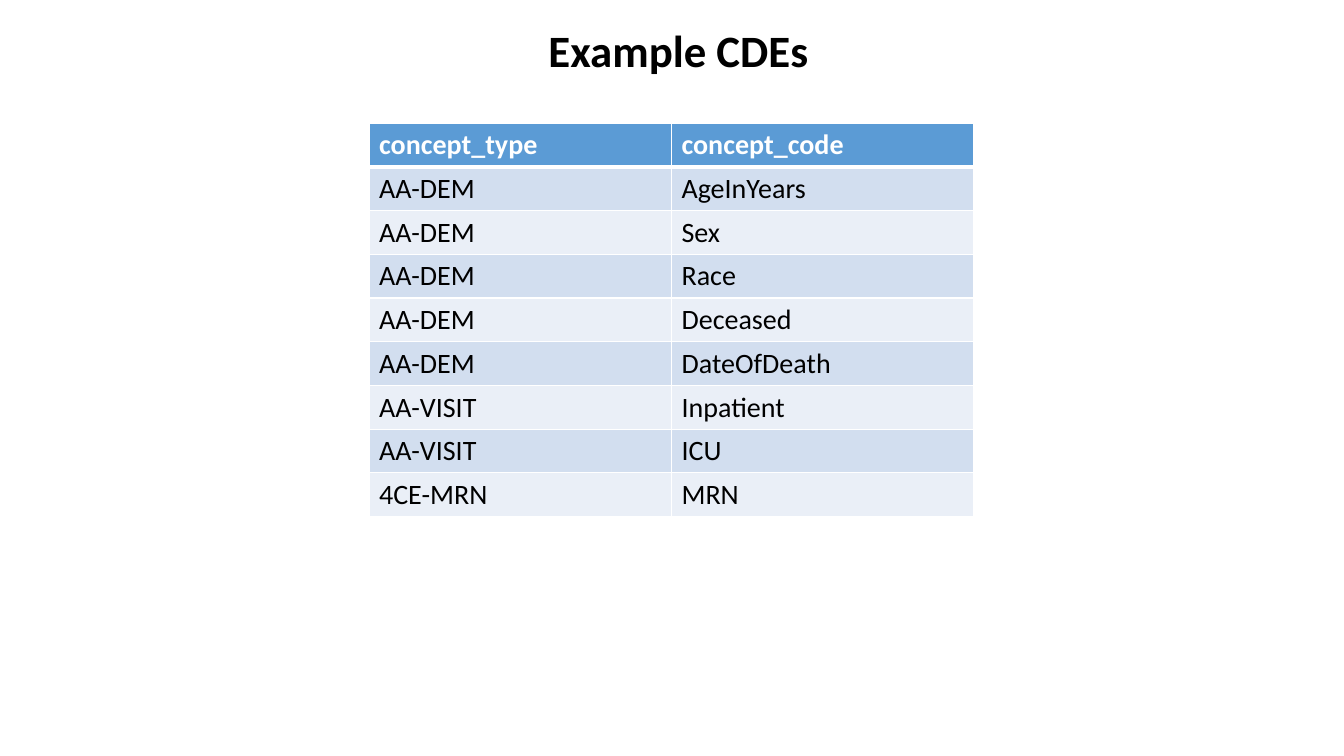
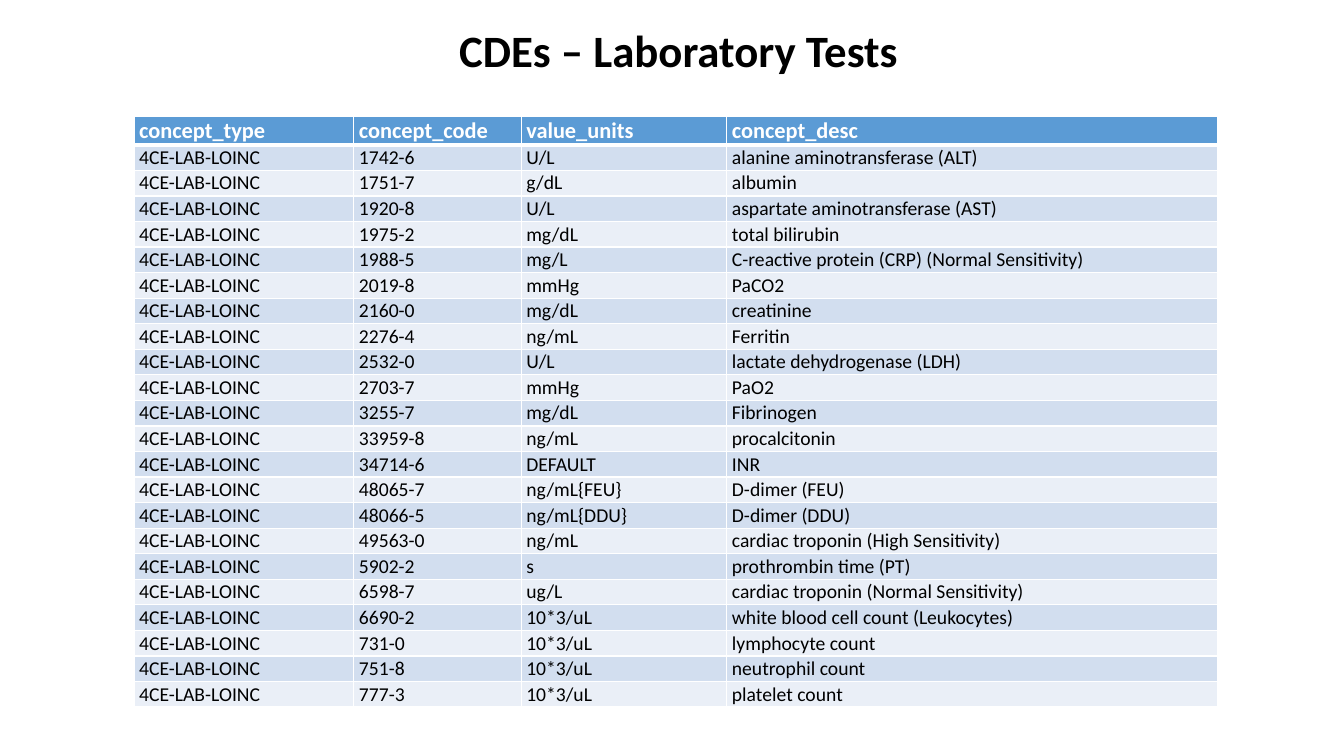
from lxml import etree
from pptx import Presentation
from pptx.dml.color import RGBColor
from pptx.enum.text import MSO_ANCHOR, MSO_AUTO_SIZE, PP_ALIGN
from pptx.oxml.ns import qn
from pptx.util import Inches, Pt

CENTER = PP_ALIGN.CENTER
BOTTOM = MSO_ANCHOR.BOTTOM
GROW = MSO_AUTO_SIZE.SHAPE_TO_FIT_TEXT
FONT = "Calibri"
BLACK, WHITE = "000000", "FFFFFF"
HEADER_FILL = "5B9BD5"
BAND_FILLS = ("D2DEEF", "EAEFF7")
THIN, THICK = 1, 3
TITLE_CENTER, TITLE_TOP, TITLE_HEIGHT = 6.73, 0.18, 0.64

EXAMPLE_ROWS = [
    ("concept_type", "concept_code"),
    ("AA-DEM", "AgeInYears"),
    ("AA-DEM", "Sex"),
    ("AA-DEM", "Race"),
    ("AA-DEM", "Deceased"),
    ("AA-DEM", "DateOfDeath"),
    ("AA-VISIT", "Inpatient"),
    ("AA-VISIT", "ICU"),
    ("4CE-MRN", "MRN"),
]
LAB_HEADER = ("concept_type", "concept_code", "value_units", "concept_desc")
LAB_TYPE = "4CE-LAB-LOINC"
LAB_TESTS = [
    ("1742-6", "U/L", "alanine aminotransferase (ALT)"),
    ("1751-7", "g/dL", "albumin"),
    ("1920-8", "U/L", "aspartate aminotransferase (AST)"),
    ("1975-2", "mg/dL", "total bilirubin"),
    ("1988-5", "mg/L", "C-reactive protein (CRP) (Normal Sensitivity)"),
    ("2019-8", "mmHg", "PaCO2"),
    ("2160-0", "mg/dL", "creatinine"),
    ("2276-4", "ng/mL", "Ferritin"),
    ("2532-0", "U/L", "lactate dehydrogenase (LDH)"),
    ("2703-7", "mmHg", "PaO2"),
    ("3255-7", "mg/dL", "Fibrinogen"),
    ("33959-8", "ng/mL", "procalcitonin"),
    ("34714-6", "DEFAULT", "INR"),
    ("48065-7", "ng/mL{FEU}", "D-dimer (FEU)"),
    ("48066-5", "ng/mL{DDU}", "D-dimer (DDU)"),
    ("49563-0", "ng/mL", "cardiac troponin (High Sensitivity)"),
    ("5902-2", "s", "prothrombin time (PT)"),
    ("6598-7", "ug/L", "cardiac troponin (Normal Sensitivity)"),
    ("6690-2", "10*3/uL", "white blood cell count (Leukocytes)"),
    ("731-0", "10*3/uL", "lymphocyte count"),
    ("751-8", "10*3/uL", "neutrophil count"),
    ("777-3", "10*3/uL", "platelet count"),
]


def color(value):
    """Turn a hex string into a colour."""
    return RGBColor.from_string(value)


def add_run(paragraph, text, size, fill, bold):
    """Append one formatted run to a paragraph."""
    run = paragraph.add_run()
    run.text = text
    run.font.name = FONT
    run.font.size = Pt(size)
    run.font.bold = bold
    run.font.color.rgb = color(fill)


def add_title(slide, text, width):
    """Add the slide title, centred on the shared title axis."""
    shape = slide.shapes.add_textbox(Inches(TITLE_CENTER - width / 2), Inches(TITLE_TOP),
                                     Inches(width), Inches(TITLE_HEIGHT))
    frame = shape.text_frame
    frame.word_wrap = False
    frame.auto_size = GROW
    paragraph = frame.paragraphs[0]
    paragraph.alignment = CENTER
    add_run(paragraph, text, 32, BLACK, True)


def set_borders(cell, top, bottom):
    """Give a cell white borders, thin at the sides."""
    properties = cell._tc.get_or_add_tcPr()
    for side, width in (("L", THIN), ("R", THIN), ("T", top), ("B", bottom)):
        line = etree.SubElement(properties, qn(f"a:ln{side}"), w=str(Pt(width)))
        fill = etree.SubElement(line, qn("a:solidFill"))
        etree.SubElement(fill, qn("a:srgbClr"), val=WHITE)


def fill_cell(cell, text, row_index, size, margins):
    """Write and style one cell according to its row."""
    header = row_index == 0
    set_borders(cell, THICK if row_index == 1 else THIN, THICK if header else THIN)
    cell.fill.solid()
    cell.fill.fore_color.rgb = color(HEADER_FILL if header else BAND_FILLS[(row_index - 1) % 2])
    cell.vertical_anchor = BOTTOM
    if margins:
        (cell.margin_left, cell.margin_top,
         cell.margin_right, cell.margin_bottom) = map(Inches, margins)
    add_run(cell.text_frame.paragraphs[0], text, size, WHITE if header else BLACK, header)


def add_banded_table(slide, box, rows, widths, row_height, header_size, body_size, margins=None):
    """Add a table with a header row and alternating bands in a box."""
    left, top, width, height = map(Inches, box)
    shape = slide.shapes.add_table(len(rows), len(widths), left, top, width, height)
    table = shape.table
    for column, column_width in zip(table.columns, widths):
        column.width = Inches(column_width)
    for row_index, values in enumerate(rows):
        table.rows[row_index].height = Inches(row_height)
        size = body_size if row_index else header_size
        for column_index, text in enumerate(values):
            fill_cell(table.cell(row_index, column_index), text, row_index, size, margins)
    shape.height = height


def build_example_slide(slide):
    """Build the slide of example data elements."""
    add_title(slide, "Example CDEs", 2.8)
    add_banded_table(slide, (3.66, 1.22, 6, 3.9), EXAMPLE_ROWS, (3, 3), 0.41, 20, 20)


def build_laboratory_slide(slide):
    """Build the slide of laboratory tests."""
    add_title(slide, "CDEs – Laboratory Tests", 4.59)
    rows = [LAB_HEADER] + [(LAB_TYPE, *test) for test in LAB_TESTS]
    add_banded_table(slide, (1.33, 1.15, 10.75, 5.86), rows, (2.18, 1.66, 2.04, 4.87),
                     0.22, 16, 14, (0.05, 0.01, 0.01, 0.01))


def main():
    """Create and save the presentation."""
    presentation = Presentation()
    presentation.slide_width = Inches(13.33)
    presentation.slide_height = Inches(7.5)
    blank = presentation.slide_layouts[6]
    for build in (build_example_slide, build_laboratory_slide):
        build(presentation.slides.add_slide(blank))
    presentation.save("out.pptx")


main()
